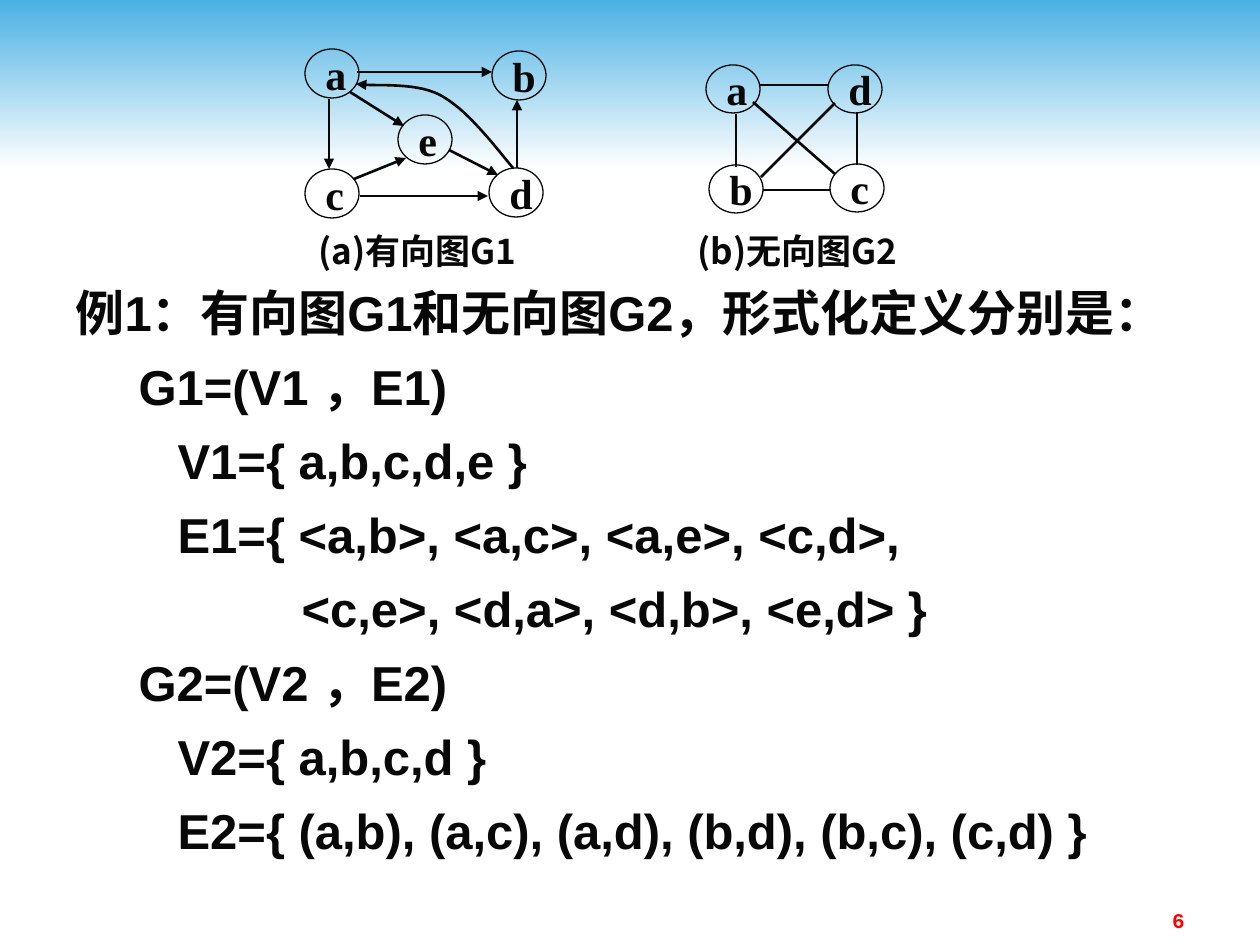
from pptx import Presentation
from pptx.dml.color import RGBColor
from pptx.enum.shapes import MSO_CONNECTOR, MSO_SHAPE
from pptx.enum.text import MSO_ANCHOR, MSO_AUTO_SIZE, PP_ALIGN
from pptx.oxml.ns import qn
from pptx.util import Emu, Pt
from lxml.etree import SubElement

COLORS = {"ink": "080808", "sky": "4AB1E4", "pale": "FEFEFE", "page": "FF0000"}
CJK = "Noto Sans CJK SC"
EMU_PER_PX = 914400 / 126


def px(length):
    return Emu(round(length * EMU_PER_PX))


def rgb(name):
    return RGBColor.from_string(COLORS[name])


class GraphSlide:
    """Holds the style and the slide being drawn."""

    def __init__(self, slide):
        self.slide = slide
        self.shapes = slide.shapes

    def run(self, paragraph, text, size, font, color="ink"):
        run = paragraph.add_run()
        run.text = text
        run.font.size, run.font.bold, run.font.name = Pt(size), True, font
        run.font.color.rgb = rgb(color)
        SubElement(run.font._element, qn("a:ea")).set("typeface", CJK)

    def band(self, width, height):
        band = self.shapes.add_shape(MSO_SHAPE.RECTANGLE, 0, 0, px(width), px(height))
        band.shadow.inherit = False
        band.line.fill.background()
        band.fill.gradient()
        band.fill.gradient_angle = 270
        for stop, color in zip(band.fill.gradient_stops, ("sky", "pale")):
            stop.color.rgb = rgb(color)

    def label(self, x, y, width, height, text, size, font, color="ink",
              align=PP_ALIGN.LEFT, wrap=False, anchor=MSO_ANCHOR.MIDDLE):
        box = self.shapes.add_textbox(px(x), px(y), px(width), px(height))
        frame = box.text_frame
        frame.word_wrap, frame.vertical_anchor = wrap, anchor
        frame.paragraphs[0].alignment = align
        self.run(frame.paragraphs[0], text, size, font, color)

    def node(self, name, x, y, height):
        node = self.shapes.add_shape(MSO_SHAPE.OVAL, px(x), px(y), px(54), px(height))
        node.shadow.inherit = False
        node.fill.background()
        node.line.color.rgb, node.line.width = rgb("ink"), Pt(0.75)
        frame = node.text_frame
        frame.word_wrap, frame.vertical_anchor = False, MSO_ANCHOR.MIDDLE
        frame.paragraphs[0].alignment = PP_ALIGN.LEFT
        self.run(frame.paragraphs[0], name, 24, "Times New Roman")

    def stroke(self, line, arrow):
        line.color.rgb, line.width = rgb("ink"), Pt(1.5)
        if arrow:
            SubElement(line._get_or_add_ln(), qn("a:tailEnd")).set("type", "triangle")

    def edge(self, x1, y1, x2, y2, arrow):
        edge = self.shapes.add_connector(
            MSO_CONNECTOR.STRAIGHT, px(x1), px(y1), px(x2), px(y2))
        self.stroke(edge.line, arrow)
        SubElement(edge._element.spPr, qn("a:effectLst"))

    def curved_edge(self, start, *segments, steps=16):
        """Draws cubic segments, each given by two controls and an end point."""
        points, origin = [], start
        for segment in segments:
            corners = (origin, *segment)
            for step in range(1, steps + 1):
                t = step / steps
                weights = ((1 - t) ** 3, 3 * t * (1 - t) ** 2, 3 * t * t * (1 - t), t ** 3)
                points.append(tuple(
                    sum(w * corner[axis] for w, corner in zip(weights, corners))
                    for axis in (0, 1)))
            origin = segment[-1]
        # Tenths of a px keep the sampled curve smooth
        builder = self.shapes.build_freeform(
            start[0] * 10, start[1] * 10, scale=EMU_PER_PX / 10)
        builder.add_line_segments([(x * 10, y * 10) for x, y in points], close=False)
        curve = builder.convert_to_shape()
        curve.shadow.inherit = False
        curve.fill.background()
        self.stroke(curve.line, True)

    def body(self, x, y, width, height, lines):
        body = self.slide.placeholders[1]
        body.left, body.top, body.width, body.height = map(px, (x, y, width, height))
        frame = body.text_frame
        frame.word_wrap, frame.auto_size = True, MSO_AUTO_SIZE.NONE
        frame.vertical_anchor = MSO_ANCHOR.TOP
        for index, (level, margin, indent, text) in enumerate(lines):
            paragraph = frame.add_paragraph() if index else frame.paragraphs[0]
            paragraph.level = level
            paragraph.alignment = PP_ALIGN.LEFT
            paragraph.line_spacing = 1.05
            paragraph.space_before = Pt(7 if index else 0)
            properties = paragraph._p.get_or_add_pPr()
            properties.set("marL", str(px(margin)))
            properties.set("indent", str(px(indent)))
            SubElement(properties, qn("a:buNone"))
            self.run(paragraph, text, 28, "Arial")


def main():
    deck = Presentation()
    deck.slide_width, deck.slide_height = px(1260), px(945)
    slide = deck.slides.add_slide(deck.slide_layouts[1])
    title = slide.shapes.title._element
    title.getparent().remove(title)
    graph = GraphSlide(slide)
    graph.band(1260, 168)

    # Formal definitions: heading, graph, set and continued set
    heading, definition = (0, 48, -48), (1, 102, -39)
    member, continued = (1, 102, 0), (1, 226, 0)
    graph.body(63, 273, 1134, 595, [
        (*heading, "例1：有向图G1和无向图G2，形式化定义分别是："),
        (*definition, "G1=(V1 ，E1)"),
        (*member, "V1={ a,b,c,d,e }"),
        (*member, "E1={ <a,b>, <a,c>, <a,e>, <c,d>,"),
        (*continued, "<c,e>, <d,a>, <d,b>, <e,d> }"),
        (*definition, "G2=(V2 ，E2)"),
        (*member, "V2={ a,b,c,d }"),
        (*member, "E2={ (a,b), (a,c), (a,d), (b,d), (b,c), (c,d) }"),
    ])

    # Undirected graph G2
    for name, x, y in (("a", 706, 65), ("b", 709, 165), ("c", 830, 164), ("d", 828, 65)):
        graph.node(name, x, y, 48)
    for ends in ((736, 114, 736, 167), (857, 112, 857, 165), (753, 102, 835, 174),
                 (760, 85, 828, 85), (763, 190, 831, 190), (761, 177, 835, 103)):
        graph.edge(*ends, arrow=False)

    # Directed graph G1
    for name, x, y in (("a", 305, 49), ("c", 305, 169), ("b", 492, 51),
                       ("d", 489, 168), ("e", 398, 115)):
        graph.node(name, x, y, 49)
    for ends in ((329, 99, 329, 169), (517, 168, 517, 100), (357, 72, 492, 72),
                 (350, 92, 404, 126), (360, 196, 488, 196), (449, 150, 498, 175),
                 (354, 179, 406, 158)):
        graph.edge(*ends, arrow=True)
    graph.curved_edge((513, 168), ((489, 139), (466, 109), (440, 95)),
                      ((413, 81), (369, 87), (356, 84)))

    # Captions, wide enough for one line, and page number
    for x, caption in ((306, "(a)有向图G1"), (685, "(b)无向图G2")):
        graph.label(x, 228, 250, 44, caption, 20, CJK)
    graph.label(903, 901, 294, 34, "6", 12, "Courier New", "page",
                PP_ALIGN.RIGHT, True, MSO_ANCHOR.TOP)

    deck.save("out.pptx")


if __name__ == "__main__":
    main()
